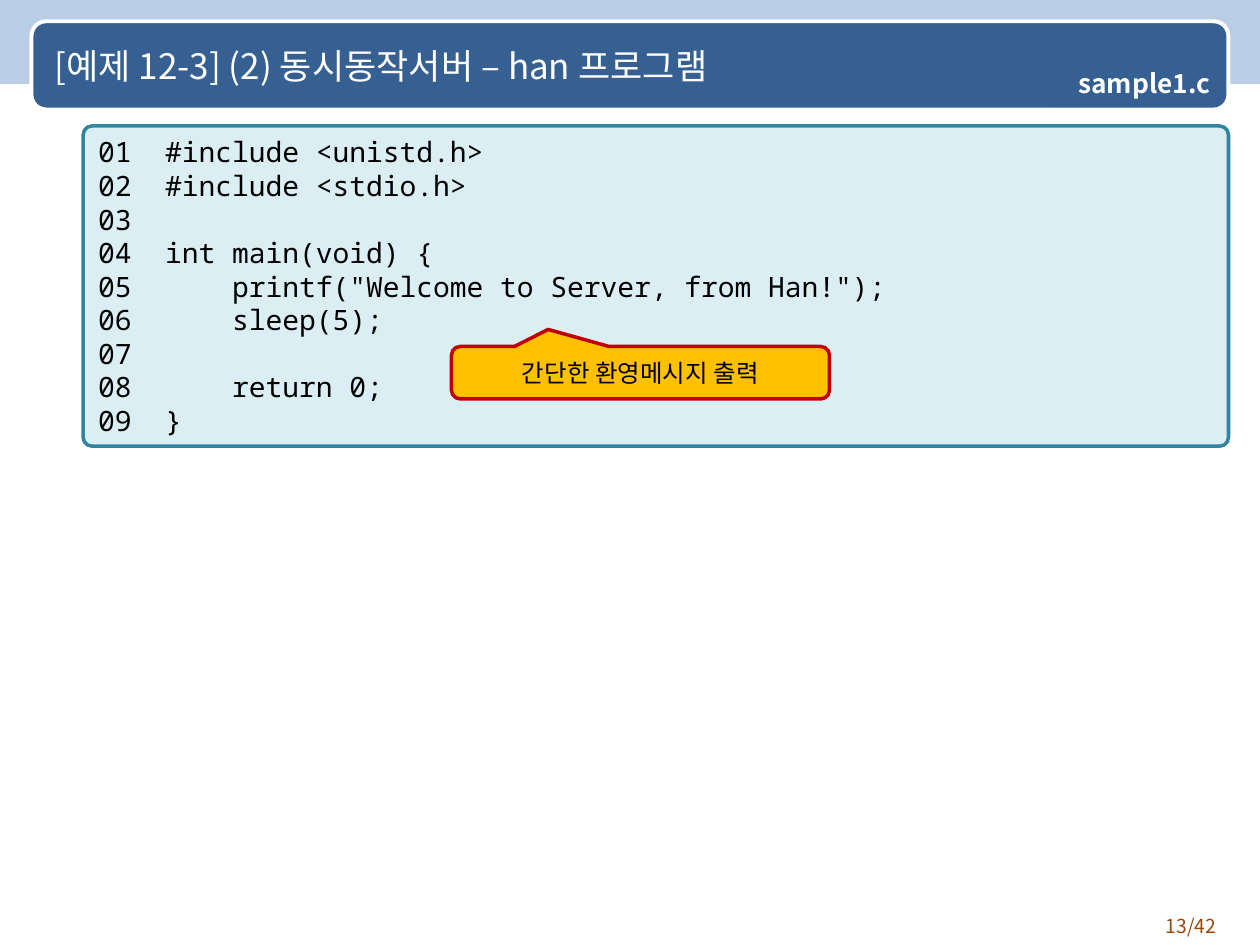
from lxml import etree
from pptx import Presentation
from pptx.dml.color import RGBColor
from pptx.enum.shapes import MSO_SHAPE as Shape
from pptx.enum.text import MSO_ANCHOR as Anchor, PP_ALIGN as Align
from pptx.oxml.ns import qn
from pptx.util import Pt

SANS = "Noto Sans CJK KR"
MONO = "Noto Sans Mono"
WHITE = RGBColor(0xFF, 0xFF, 0xFF)
BLACK = RGBColor(0, 0, 0)
PALE_BLUE = RGBColor(0xB9, 0xCD, 0xE5)
NAVY = RGBColor(0x37, 0x60, 0x92)
PALE_TEAL = RGBColor(0xDB, 0xEE, 0xF4)
TEAL = RGBColor(0x31, 0x85, 0x9C)
AMBER = RGBColor(0xFF, 0xC0, 0x00)
RED = RGBColor(0xC0, 0x00, 0x00)
BROWN = RGBColor(0x98, 0x48, 0x07)

CODE = """#include <unistd.h>
#include <stdio.h>

int main(void) {
    printf("Welcome to Server, from Han!");
    sleep(5);

    return 0;
}"""


def add_panel(slide, kind, box, fill, line=None, line_width=2, adjustments=()):
    panel = slide.shapes.add_shape(kind, *map(Pt, box))
    panel.shadow.inherit = False
    panel.fill.solid()
    panel.fill.fore_color.rgb = fill
    if line is None:
        panel.line.fill.background()
    else:
        panel.line.color.rgb = line
        panel.line.width = Pt(line_width)
    for index, value in enumerate(adjustments):
        panel.adjustments[index] = value
    return panel


def write(frame, lines, size, color, align=Align.LEFT, font=SANS, bold=False, anchor=Anchor.MIDDLE):
    frame.word_wrap = True
    frame.vertical_anchor = anchor
    for index, line in enumerate(lines):
        paragraph = frame.add_paragraph() if index else frame.paragraphs[0]
        paragraph.alignment = align
        run = paragraph.add_run()
        run.text = line
        run.font.size = Pt(size)
        run.font.bold = bold
        run.font.color.rgb = color
        run.font.name = font
        east_asian = etree.SubElement(run.font._element, qn("a:ea"))
        east_asian.set("typeface", font)


def add_header(slide, box, title, file_name):
    left, top, width, height = box
    add_panel(slide, Shape.RECTANGLE, (-0.5, 0, 721, 48), PALE_BLUE)
    add_panel(slide, Shape.ROUNDED_RECTANGLE, box, NAVY, WHITE, 2.25, [0.167])
    heading = slide.shapes.add_textbox(Pt(left + 6), Pt(top + 1.5), Pt(width - 18), Pt(48))
    write(heading.text_frame, [title], 20, WHITE)

    file_tag = add_panel(slide, Shape.RECTANGLE, (left + width - 102, top + 24, 96, 25), NAVY)
    frame = file_tag.text_frame
    frame.margin_left = frame.margin_right = Pt(4.5)
    frame.margin_top = frame.margin_bottom = Pt(4.5)
    write(frame, [file_name], 15, WHITE, Align.RIGHT, bold=True)
    frame.paragraphs[0].line_spacing = 0.9
    frame.paragraphs[0].space_after = Pt(6.5)


def add_listing(slide, box, code):
    listing = add_panel(slide, Shape.ROUNDED_RECTANGLE, box, PALE_TEAL, TEAL, adjustments=[0.028])
    numbered = [f"{number:02}  {line}" for number, line in enumerate(code.splitlines(), 1)]
    write(listing.text_frame, numbered, 16, BLACK, Align.JUSTIFY, MONO)


def add_callout(slide, box, message):
    callout = add_panel(slide, Shape.ROUNDED_RECTANGULAR_CALLOUT, box, AMBER, RED,
                        adjustments=[-0.244, -0.825, 0.167])
    write(callout.text_frame, [message], 14, BLACK, Align.CENTER)


def add_page_number(slide, box, page):
    number = slide.shapes.add_textbox(*map(Pt, box))
    write(number.text_frame, [page], 11, BROWN, Align.RIGHT, anchor=Anchor.TOP)


def main():
    deck = Presentation()
    deck.slide_width, deck.slide_height = Pt(720), Pt(540)
    slide = deck.slides.add_slide(deck.slide_layouts[6])
    add_header(slide, (18, 12.2, 684, 50.4), "[예제 12-3] (2) 동시동작서버 – han 프로그램", "sample1.c")
    add_listing(slide, (47.5, 72, 654.5, 183), CODE)
    add_callout(slide, (258, 198, 216, 30), "간단한 환영메시지 출력")
    add_page_number(slide, (642, 519, 60, 21), "13/42")
    deck.save("out.pptx")


if __name__ == "__main__":
    main()
